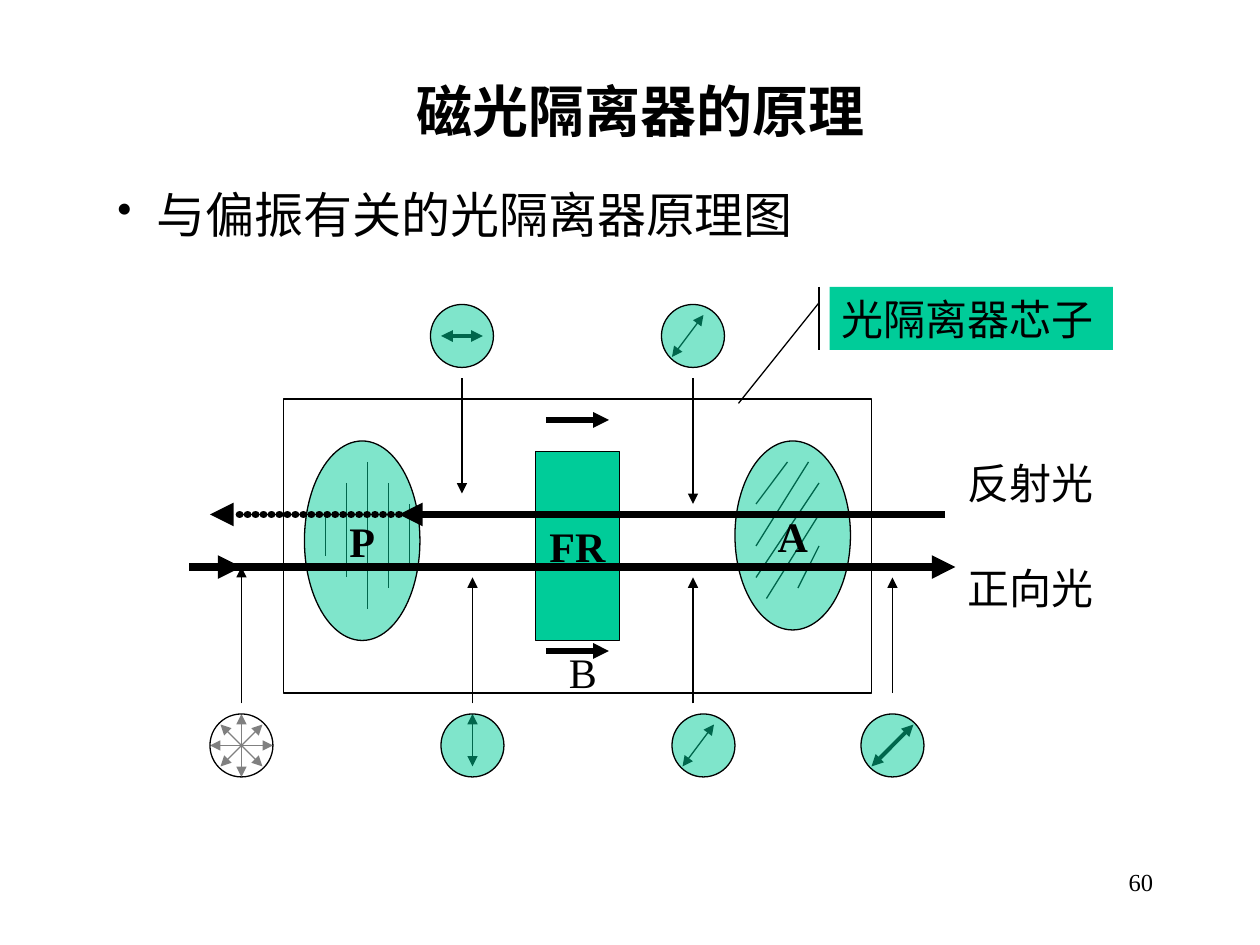
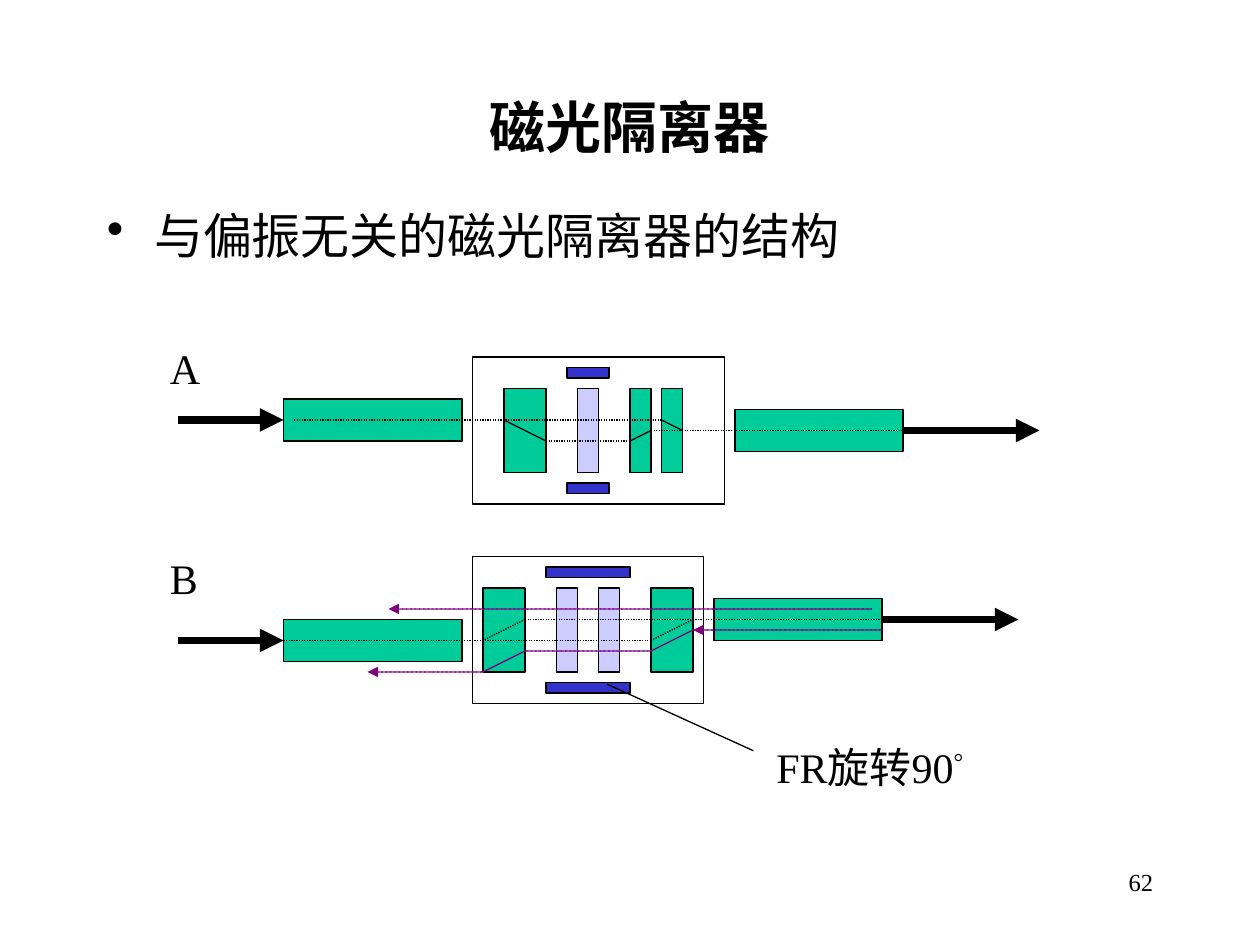
from dataclasses import dataclass

import lxml.etree
import pptx
import pptx.dml.color
import pptx.enum.dml
import pptx.enum.shapes
import pptx.enum.text
import pptx.oxml.ns
import pptx.util

Pt = pptx.util.Pt
qn = pptx.oxml.ns.qn
SHAPES = pptx.enum.shapes.MSO_SHAPE
ALIGN = pptx.enum.text.PP_ALIGN
ANCHOR = pptx.enum.text.MSO_ANCHOR
BLACK, WHITE, GREEN = "000000", "FFFFFF", "00CC99"
LAVENDER, BLUE, PURPLE = "CCCCFF", "3333CC", "800080"
LATIN_FONT, CHINESE_FONT = "Times New Roman", "Noto Sans CJK SC"
THIN, MEDIUM, BOLD, BEAM = 0.75, 2.25, 3, 4.5
CIRCLE_SIZE = 36


@dataclass(frozen=True)
class Box:
    left: float
    top: float
    width: float
    height: float
    fill: str | None = None
    text: str = ""
    round: bool = False  # a half-transparent ellipse instead of a rectangle


@dataclass(frozen=True)
class Line:
    x1: float
    y1: float
    x2: float
    y2: float
    weight: float = THIN
    color: str = BLACK
    dash: str = ""  # "", "square" or "round"
    head: bool = False
    tail: bool = False


@dataclass(frozen=True)
class Label:
    text: str
    left: float
    top: float
    width: float
    height: float = 36
    fill: str | None = None
    superscript: str = ""


@dataclass(frozen=True)
class Polarization:
    """A circle showing a polarization direction, and the arrow to the beam."""
    left: float
    top: float
    direction: Line
    pointer: Line


@dataclass(frozen=True)
class Isolator:
    axis_in: float
    axis_out: float
    fiber_out: float
    frame_width: float
    plate_top: float
    plates: tuple[tuple[float, float], ...]  # left, width
    rotators: tuple[float, ...]
    magnet: tuple[float, float]


Item = Box | Line | Label


def rgb(color: str) -> pptx.dml.color.RGBColor:
    return pptx.dml.color.RGBColor.from_string(color)


def paint(shape, color: str | None) -> None:
    if color is None:
        shape.fill.background()
    else:
        shape.fill.solid()
        shape.fill.fore_color.rgb = rgb(color)


def write(frame, text: str, size: float = 24, bold: bool = False, align=ALIGN.LEFT,
          anchor=ANCHOR.TOP, wrap: bool = True, superscript: str = ""):
    """Fill a text frame with one paragraph and return that paragraph."""
    frame.word_wrap = wrap
    frame.vertical_anchor = anchor
    para = frame.paragraphs[0]
    para.alignment = align
    for part in filter(None, (text, superscript)):
        span = para.add_run()
        span.text = part
        span.font.size, span.font.bold, span.font.name = Pt(size), bold, LATIN_FONT
        span.font.color.rgb = rgb(BLACK)
        properties = span.font._element
        lxml.etree.SubElement(properties, qn("a:ea"), typeface=CHINESE_FONT)
        if part == superscript:
            properties.set("baseline", "30000")
    return para


def add_text_box(page, left: float, top: float, width: float, height: float):
    return page.shapes.add_textbox(Pt(left), Pt(top), Pt(width), Pt(height))


def draw_box(page, box: Box, joints: dict) -> None:
    """Draw a box and record the side midpoints of rectangles as joints."""
    kind = SHAPES.OVAL if box.round else SHAPES.RECTANGLE
    shape = page.shapes.add_shape(kind, Pt(box.left), Pt(box.top), Pt(box.width), Pt(box.height))
    shape.shadow.inherit = False
    paint(shape, box.fill)
    shape.line.color.rgb = rgb(BLACK)
    shape.line.width = Pt(THIN)
    if box.text:
        write(shape.text_frame, box.text, bold=True, align=ALIGN.CENTER,
              anchor=ANCHOR.MIDDLE, wrap=False)
    if box.round:
        color = shape._element.spPr.find(qn("a:solidFill"))[0]
        lxml.etree.SubElement(color, qn("a:alpha"), val="50000")
    else:
        middle = box.top + box.height / 2
        joints[box.left, middle] = (shape, 1)
        joints[box.left + box.width, middle] = (shape, 3)


def draw_line(page, line: Line, joints: dict) -> None:
    connector = page.shapes.add_connector(
        pptx.enum.shapes.MSO_CONNECTOR.STRAIGHT,
        Pt(line.x1), Pt(line.y1), Pt(line.x2), Pt(line.y2))
    if (line.x1, line.y1) in joints:
        connector.begin_connect(*joints[line.x1, line.y1])
    if (line.x2, line.y2) in joints:
        connector.end_connect(*joints[line.x2, line.y2])
    connector.line.color.rgb = rgb(line.color)
    connector.line.width = Pt(line.weight)
    stroke = connector.line._get_or_add_ln()
    if line.dash == "square":
        connector.line.dash_style = pptx.enum.dml.MSO_LINE.ROUND_DOT
        stroke.find(qn("a:prstDash")).set("val", "sysDot")
    elif line.dash == "round":
        stroke.set("cap", "rnd")
        dashes = lxml.etree.SubElement(stroke, qn("a:custDash"))
        lxml.etree.SubElement(dashes, qn("a:ds"), d="1000", sp="100000")
    for tag, shown in (("a:headEnd", line.head), ("a:tailEnd", line.tail)):
        if shown:
            lxml.etree.SubElement(stroke, qn(tag), type="triangle")
    lxml.etree.SubElement(connector._element.spPr, qn("a:effectLst"))


def draw_label(page, label: Label) -> None:
    box = add_text_box(page, label.left, label.top, label.width, label.height)
    paint(box, label.fill)
    write(box.text_frame, label.text, superscript=label.superscript)


def draw_items(page, items: list[Item]) -> None:
    joints: dict = {}
    for item in items:
        if isinstance(item, Box):
            draw_box(page, item, joints)
        elif isinstance(item, Line):
            draw_line(page, item, joints)
        else:
            draw_label(page, item)


def add_page(deck, number: int, title: str, title_place: tuple, bullet: str,
             bullet_place: tuple, indent: float, bullet_percent: int):
    page = deck.slides.add_slide(deck.slide_layouts[6])
    number_box = add_text_box(page, 516, 492, 150, 36)
    write(number_box.text_frame, str(number), size=14, align=ALIGN.RIGHT)
    write(add_text_box(page, *title_place).text_frame, title, size=32, bold=True,
          align=ALIGN.CENTER, anchor=ANCHOR.MIDDLE)
    para = write(add_text_box(page, *bullet_place).text_frame, bullet, size=28)
    properties = para._p.get_or_add_pPr()
    properties.set("marL", str(Pt(indent)))
    properties.set("indent", str(-Pt(indent)))
    color = lxml.etree.SubElement(properties, qn("a:buClr"))
    lxml.etree.SubElement(color, qn("a:srgbClr"), val=BLACK)
    lxml.etree.SubElement(properties, qn("a:buSzPct"), val=str(bullet_percent * 1000))
    lxml.etree.SubElement(properties, qn("a:buChar"), char="•")
    return page


def polarization_items(state: Polarization) -> list[Item]:
    circle = Box(state.left, state.top, CIRCLE_SIZE, CIRCLE_SIZE, GREEN, round=True)
    return [state.direction, circle, state.pointer]


def double_arrow(x1: float, y1: float, x2: float, y2: float, weight: float = THIN) -> Line:
    return Line(x1, y1, x2, y2, weight, head=True, tail=True)


def arrow(x1: float, y1: float, x2: float, y2: float, weight: float = THIN) -> Line:
    return Line(x1, y1, x2, y2, weight, tail=True)


def principle_items() -> list[Item]:
    polarizer_hatch = [(210, 264, 348), (222, 276, 336), (234, 288, 324),
                       (198, 276, 330), (186, 294, 318)]
    analyzer_hatch = [(468, 276, 432, 330), (462, 264, 432, 312), (450, 264, 432, 288),
                      (468, 294, 438, 342), (468, 312, 456, 336)]
    natural_light = [(126, 414, 150, 438), (138, 408, 138, 444),
                     (120, 426, 156, 426), (126, 438, 150, 414)]
    states = [
        Polarization(252, 408, double_arrow(270, 408, 270, 438), arrow(270, 402, 270, 330)),
        Polarization(384, 408, double_arrow(390, 438, 408, 414), arrow(396, 402, 396, 330)),
        Polarization(492, 408, double_arrow(498, 438, 522, 414, MEDIUM),
                     arrow(510, 396, 510, 330)),
        Polarization(378, 174, double_arrow(384, 204, 402, 180), arrow(396, 216, 396, 288)),
        Polarization(246, 174, double_arrow(252, 192, 276, 192, MEDIUM),
                     arrow(264, 216, 264, 282)),
    ]
    return [
        Box(306, 258, 48, 108, GREEN, "FR"),
        *(Line(x, top, x, bottom) for x, top, bottom in polarizer_hatch),
        Box(174, 252, 66, 114, GREEN, "P", round=True),
        *(Line(*ends) for ends in analyzer_hatch),
        Box(420, 252, 66, 108, GREEN, "A", round=True),
        arrow(108, 324, 546, 324, BEAM),
        arrow(138, 402, 138, 324),
        *(double_arrow(*ends) for ends in natural_light),
        Box(120, 408, CIRCLE_SIZE, CIRCLE_SIZE, WHITE, round=True),
        *(arrow(312, y, 348, y, BOLD) for y in (372, 240)),
        Label("B", 318, 366, 36),
        *(item for state in states for item in polarization_items(state)),
        arrow(540, 294, 228, 294, BEAM),
        Line(228, 294, 120, 294, BEAM, dash="round", tail=True),
        Label("反射光", 546, 258, 114),
        Label("正向光", 546, 318, 96),
        Box(162, 228, 336, 168),
        Label("光隔离器芯子", 474, 164, 162, fill=GREEN),
        Line(422, 230.5, 468, 173),
        Line(468, 164, 468, 200),
        arrow(120, 324, 138, 324, BEAM),
    ]


def isolator_items(device: Isolator) -> list[Item]:
    fiber_end = device.fiber_out + 96
    top = device.plate_top
    magnet_left, magnet_width = device.magnet
    return [
        Box(162, device.axis_in - 12, 102, 24, GREEN),
        arrow(102, device.axis_in, 162, device.axis_in, BEAM),
        Box(device.fiber_out, device.axis_out - 12, 96, 24, GREEN),
        arrow(fiber_end, device.axis_out, fiber_end + 78, device.axis_out, BEAM),
        *(Box(left, top, width, 48, GREEN) for left, width in device.plates),
        *(Box(left, top, 12, 48, LAVENDER) for left in device.rotators),
        *(Box(magnet_left, y, magnet_width, 6, BLUE) for y in (top - 12, top + 54)),
        Box(270, top - 18, device.frame_width, 84),
    ]


def structure_items() -> list[Item]:
    device_a = Isolator(240, 246, 420, 144, 222, ((288, 24), (360, 12), (378, 12)),
                        (330,), (324, 24))
    device_b = Isolator(366, 354, 408, 132, 336, ((276, 24), (372, 24)),
                        (318, 342), (312, 48))
    dotted_a = [(168, 240, 378, 240), (312, 252, 360, 252), (372, 246, 516, 246)]
    solid_a = [(288, 240, 312, 252), (360, 252, 372, 246), (378, 240, 390, 246)]
    dotted_b = [(162, 366, 372, 366), (372, 366, 396, 354),
                (300, 354, 504, 354), (300, 354, 276, 366)]
    returning = [(498, 348, 222, 348), (504, 360, 396, 360), (276, 384, 210, 384)]
    return [
        *isolator_items(device_a),
        *(Line(*ends, dash="square") for ends in dotted_a),
        *(Line(*ends) for ends in solid_a),
        *isolator_items(device_b),
        *(Line(*ends, dash="square") for ends in dotted_b),
        *(Line(*ends, color=PURPLE, dash="round", tail=True) for ends in returning),
        Line(300, 372, 372, 372, color=PURPLE, dash="round"),
        Line(396, 360, 372, 372, color=PURPLE),
        Line(300, 372, 276, 384, color=PURPLE),
        Label("FR旋转90", 436.5, 420, 151.5, superscript="°"),
        Line(347, 391, 430.5, 429),
        Label("A", 90, 192, 36),
        Label("B", 90, 312, 48),
    ]


def main() -> None:
    deck = pptx.Presentation()
    deck.slide_width, deck.slide_height = Pt(720), Pt(540)
    principle = add_page(deck, 60, "磁光隔离器的原理", (60, 36, 612, 54),
                         "与偏振有关的光隔离器原理图", (60, 102, 576, 75), 22.5, 86)
    draw_items(principle, principle_items())
    structure = add_page(deck, 62, "磁光隔离器", (54, 48, 612, 48),
                         "与偏振无关的磁光隔离器的结构", (54, 114, 612, 48), 27, 100)
    draw_items(structure, structure_items())
    deck.save("out.pptx")


if __name__ == "__main__":
    main()
